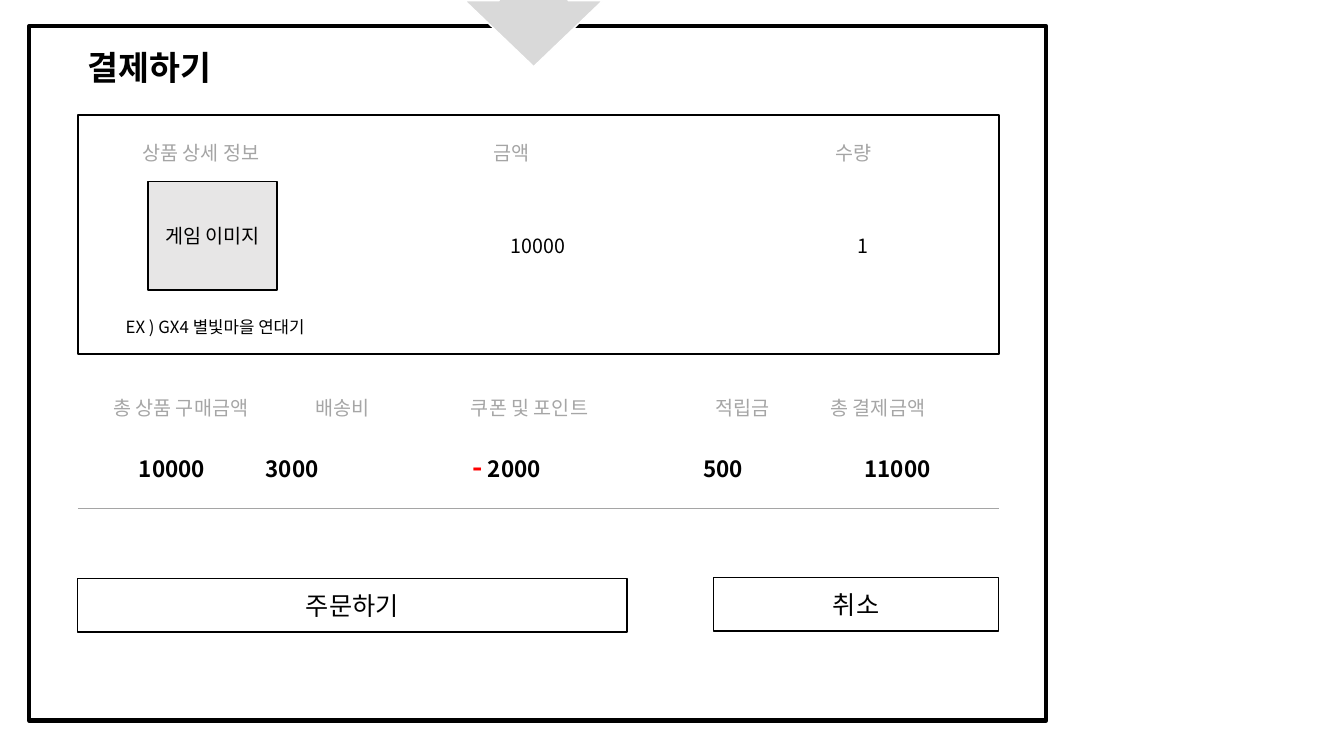
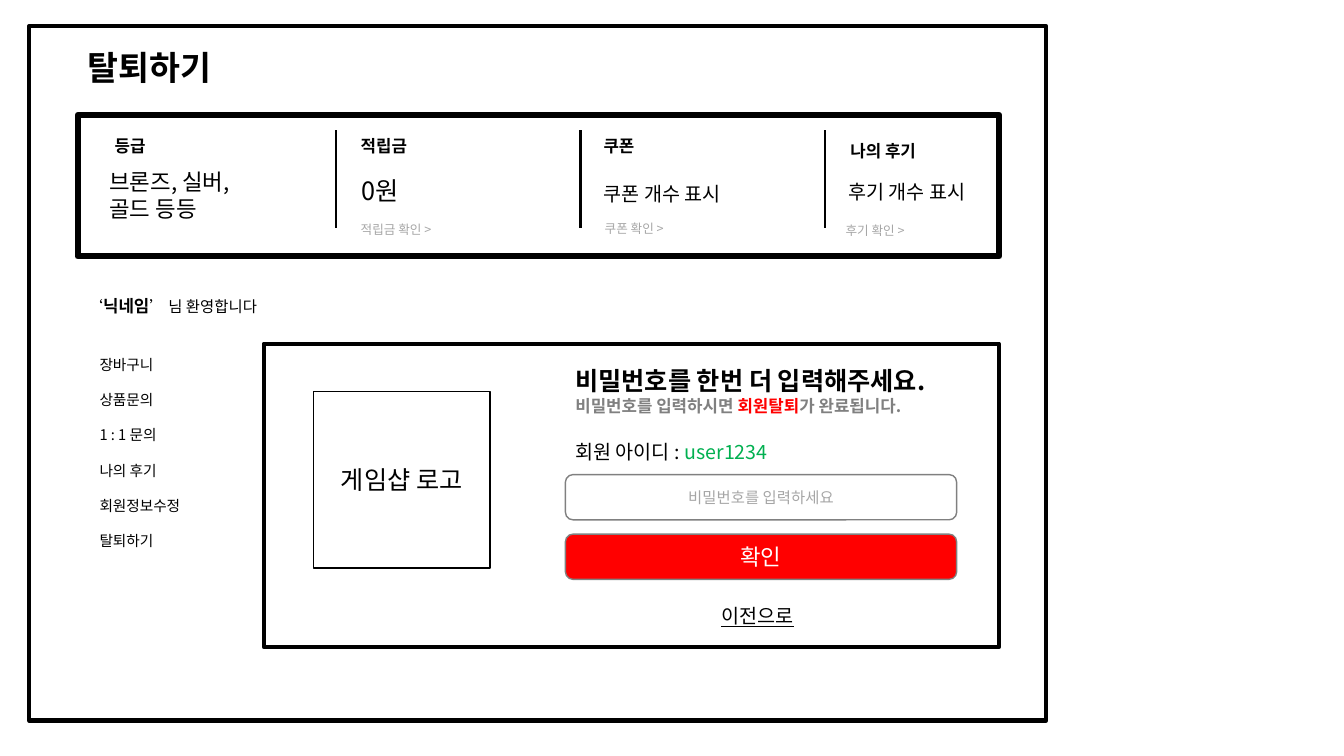
from dataclasses import dataclass

from lxml import etree
from pptx import Presentation
from pptx.dml.color import RGBColor
from pptx.enum.shapes import MSO_CONNECTOR as Connector
from pptx.enum.shapes import MSO_SHAPE as Shape
from pptx.enum.text import MSO_ANCHOR as Anchor
from pptx.enum.text import MSO_AUTO_SIZE as AutoSize
from pptx.enum.text import PP_ALIGN as Align
from pptx.oxml.ns import qn
from pptx.util import Cm, Pt

FONT = "Noto Sans CJK KR"
BLACK, WHITE, RED, GREEN = "000000", "FFFFFF", "FF0000", "00B050"
LIGHT, PALE, GREY, MUTED, DARK = "E7E6E6", "D9D9D9", "A5A5A5", "A6A6A6", "808080"
LEFT, WIDTH = 1.96, 23.22


@dataclass
class Words:
    """A stretch of text in one style."""
    text: str
    size: float
    color: str = BLACK
    bold: bool = False
    underline: bool = False


def rgb(color):
    """Turn a hex string into a colour."""
    return RGBColor.from_string(color)


def add_words(paragraph, words):
    """Append one styled run to a paragraph."""
    run = paragraph.add_run()
    run.text = words.text
    font = run.font
    font.name, font.size = FONT, Pt(words.size)
    font.bold, font.underline = words.bold, words.underline
    font.color.rgb = rgb(words.color)
    east_asian = etree.Element(qn("a:ea"), typeface=FONT)
    run._r.rPr.find(qn("a:latin")).addnext(east_asian)


def add_text(slide, left, top, width, height, *lines, wrap=False, gap=0):
    """Place a text box; each line is a list of Words."""
    box = slide.shapes.add_textbox(Cm(left), Cm(top), Cm(width), Cm(height))
    frame = box.text_frame
    frame.word_wrap = wrap
    frame.auto_size = AutoSize.SHAPE_TO_FIT_TEXT
    for index, line in enumerate(lines):
        paragraph = frame.add_paragraph() if index else frame.paragraphs[0]
        if index:
            paragraph.space_before = Pt(gap)
        for words in line:
            add_words(paragraph, words)
    return frame


def add_columns(slide, left, top, width, height, line, stops):
    """Place one line of text whose tabs lead to the given stops."""
    frame = add_text(slide, left, top, width, height, line, wrap=True)
    properties = frame.paragraphs[0]._p.get_or_add_pPr()
    tabs = etree.SubElement(properties, qn("a:tabLst"))
    for stop in stops:
        etree.SubElement(tabs, qn("a:tab"), pos=str(int(Cm(stop))), algn="l")


def add_box(slide, left, top, width, height, label=None, fill=None,
            line=BLACK, weight=1, kind=Shape.RECTANGLE):
    """Draw an outlined shape with an optional centred label."""
    box = slide.shapes.add_shape(kind, Cm(left), Cm(top), Cm(width), Cm(height))
    box.shadow.inherit = False
    if fill:
        box.fill.solid()
        box.fill.fore_color.rgb = rgb(fill)
    else:
        box.fill.background()
    box.line.color.rgb = rgb(line)
    box.line.width = Pt(weight)
    if label:
        frame = box.text_frame
        frame.word_wrap = True
        frame.vertical_anchor = Anchor.MIDDLE
        frame.paragraphs[0].alignment = Align.CENTER
        add_words(frame.paragraphs[0], label)


def add_rule(slide, start, end, color, weight):
    """Draw a straight line between two points."""
    rule = slide.shapes.add_connector(
        Connector.STRAIGHT, *(Cm(value) for value in (*start, *end)))
    rule.line.color.rgb = rgb(color)
    rule.line.width = Pt(weight)
    etree.SubElement(rule._element.spPr, qn("a:effectLst"))


def add_screen(deck, title):
    """Add a slide with the screen frame and its title."""
    slide = deck.slides.add_slide(deck.slide_layouts[6])
    add_box(slide, 0.74, 0.66, 25.63, 17.5, weight=3)
    add_text(slide, LEFT, 1.07, 3.94, 1.27, [Words(title, 24, bold=True)])
    return slide


def add_order_panel(slide):
    """Draw the ordered item with its price and quantity."""
    add_box(slide, LEFT, 2.9, WIDTH, 6.02, weight=1.5)
    add_columns(slide, 3.33, 3.43, 21, 0.86,
                [Words("상품 상세 정보\t금액\t수량", 14, GREY)], [8.86, 17.48])
    add_box(slide, 3.73, 4.57, 3.25, 2.74, Words("게임 이미지", 14), LIGHT)
    add_text(slide, 2.92, 7.85, 5.59, 0.76, [Words("EX ) GX4 별빛마을 연대기", 12)])
    add_text(slide, 12.62, 5.77, 1.9, 0.86, [Words("10000", 14)])
    add_text(slide, 21.36, 5.77, 0.79, 0.86, [Words("1", 14)])


def add_totals(slide):
    """Write the sums of the order above a thin rule."""
    labels = "총 상품 구매금액\t배송비\t쿠폰 및 포인트\t적립금\t총 결제금액"
    add_columns(slide, 2.6, 9.86, 22.5, 0.86,
                [Words(labels, 14, MUTED)], [5.09, 9.02, 15.19, 18.08])
    sums = [Words("10000\t3000\t", 16, bold=True),
            Words("-", 20, RED, bold=True),
            Words(" 2000\t500\t11000", 16, bold=True)]
    add_columns(slide, 3.25, 11.2, 21.9, 1.12, sums, [3.2, 8.41, 14.22, 18.29])
    add_rule(slide, (LEFT, 12.8), (LEFT + WIDTH, 12.8), GREY, 0.5)


def build_payment(deck):
    """Build the payment screen."""
    slide = add_screen(deck, "결제하기")
    add_order_panel(slide)
    add_totals(slide)
    add_box(slide, LEFT, 14.58, 13.84, 1.35, Words("주문하기", 18), WHITE)
    add_box(slide, 17.98, 14.55, 7.19, 1.35, Words("취소", 18), WHITE)
    add_box(slide, 11.71, -1.65, 3.48, 3.33, fill=PALE, line=WHITE,
            kind=Shape.DOWN_ARROW)


def add_member_summary(slide):
    """Draw the member's grade, points, coupons and reviews."""
    add_box(slide, LEFT, 2.9, WIDTH, 3.56, weight=4.5)
    for column in range(3):
        divider = 8.46 + 6.17 * column
        add_rule(slide, (divider, 3.28), (divider, 5.74), BLACK, 1.5)

    headings = [("등급", 2.64, 3.3), ("적립금", 8.84, 3.3),
                ("쿠폰", 14.96, 3.3), ("나의 후기", 21.18, 3.43)]
    for heading, left, top in headings:
        add_text(slide, left, top, 3.58, 0.76,
                 [Words(heading, 12, bold=True)], wrap=True)

    standings = [("브론즈, 실버,골드 등등", 16, 2.51, 4.11, 3.86, 1.63),
                 ("0원", 18, 8.86, 4.29, 3.58, 1.02),
                 ("쿠폰 개수 표시", 14, 14.96, 4.47, 4.88, 0.86),
                 ("후기 개수 표시", 14, 21.13, 4.42, 4.42, 0.86)]
    for standing, size, *place in standings:
        add_text(slide, *place, [Words(standing, size)], wrap=True)

    details = [("적립금", 8.84, 5.46, 2.57), ("쿠폰", 14.99, 5.44, 2.24),
               ("후기", 21.06, 5.49, 2.24)]
    for subject, left, top, width in details:
        add_text(slide, left, top, width, 0.64,
                 [Words(f"{subject} 확인 >", 9, MUTED)])


def add_member_menu(slide):
    """Write the greeting and the menu under it."""
    add_text(slide, LEFT, 7.34, 4.78, 0.76,
             [Words("‘", 11), Words("닉네임", 12, bold=True),
              Words("’ 님 환영합니다", 11)], wrap=True)
    entries = ["장바구니", "상품문의", "1 : 1 문의", "나의 후기", "회원정보수정", "탈퇴하기"]
    add_text(slide, 2.26, 8.84, 2.77, 5.18,
             *([Words(entry, 10.5)] for entry in entries), gap=12.6)


def add_password_form(slide):
    """Draw the panel that asks for the password again."""
    add_box(slide, 6.65, 8.66, 18.52, 7.65, weight=3)
    add_box(slide, 7.9, 9.86, 4.45, 4.45, Words("게임샵 로고", 18))
    left = 14.25
    add_text(slide, left, 9.09, 10.34, 1.55,
             [Words("비밀번호를 한번 더 입력해주세요.", 18, bold=True)],
             [Words("비밀번호를 입력하시면 ", 12, DARK, bold=True),
              Words("회원탈퇴", 12, RED, bold=True),
              Words("가 완료됩니다.", 12, DARK, bold=True)])
    add_text(slide, left, 10.97, 5.92, 0.86,
             [Words("회원 아이디 : ", 14), Words("user1234", 14, GREEN)])
    fields = [(11.96, Words("비밀번호를 입력하세요", 11, MUTED), WHITE),
              (13.46, Words("확인", 16, WHITE), RED)]
    for top, label, fill in fields:
        add_box(slide, left, top, 9.86, 1.14, label, fill, DARK,
                kind=Shape.ROUNDED_RECTANGLE)
    add_text(slide, 17.93, 15.09, 2.51, 0.86,
             [Words("이전으로", 14, underline=True)])


def build_withdrawal(deck):
    """Build the screen for leaving the membership."""
    slide = add_screen(deck, "탈퇴하기")
    add_member_summary(slide)
    add_member_menu(slide)
    add_password_form(slide)


def main():
    """Build both screens and save the deck."""
    deck = Presentation()
    deck.slide_width, deck.slide_height = Cm(33.87), Cm(19.05)
    build_payment(deck)
    build_withdrawal(deck)
    deck.save("out.pptx")


main()
